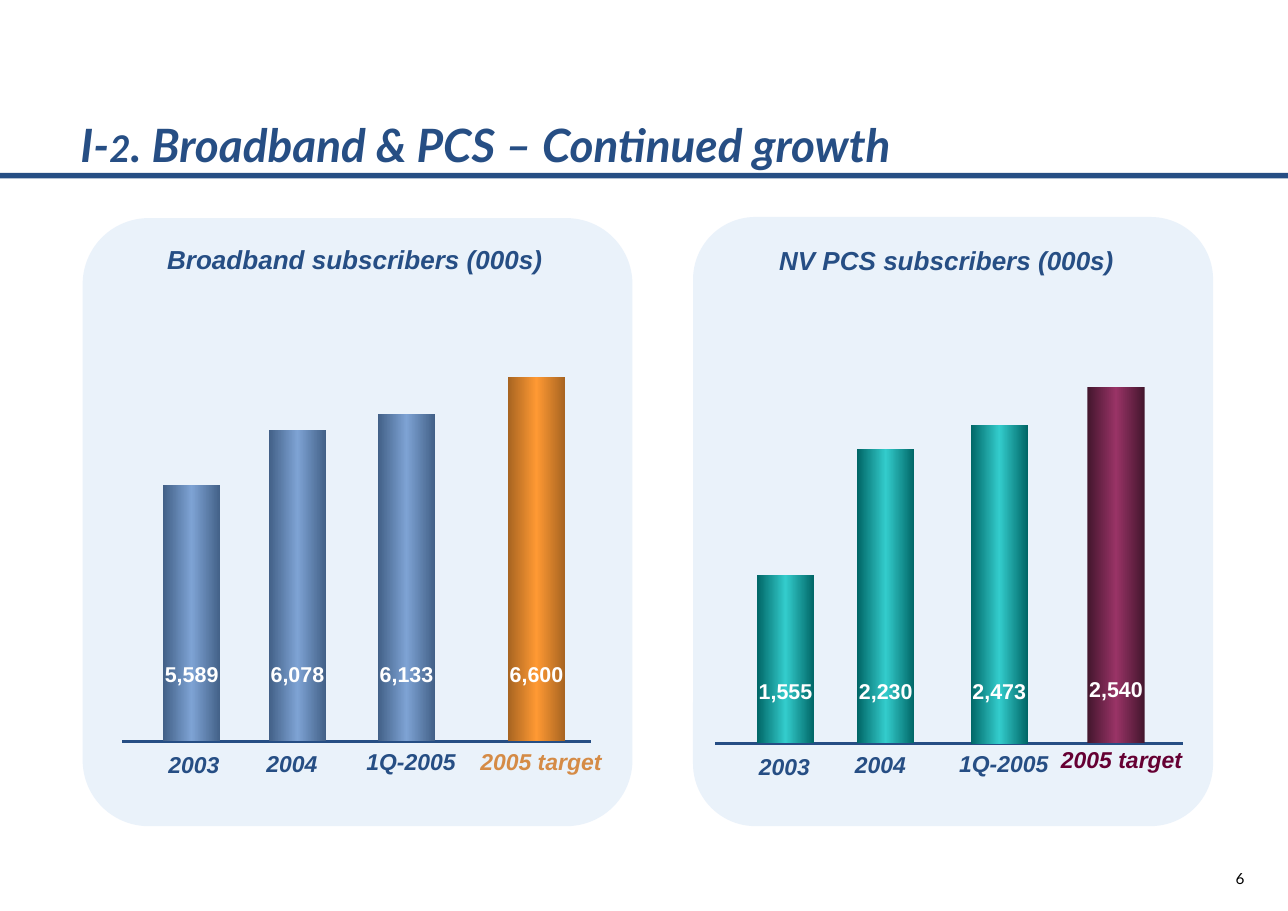
from copy import deepcopy
from dataclasses import dataclass

from lxml.etree import SubElement
from pptx import Presentation
from pptx.dml.color import RGBColor as RGB
from pptx.enum.shapes import MSO_CONNECTOR as CONNECTOR, MSO_SHAPE as SHAPE
from pptx.enum.text import MSO_ANCHOR as ANCHOR, PP_ALIGN as ALIGN
from pptx.oxml.ns import qn
from pptx.util import Inches, Pt

CELL = Inches(0.1)
COLUMNS, ROWS = 116.9, 82.7
BAR_WIDTH = 5.2


@dataclass(frozen=True)
class Theme:
    heading_font: str = "Lato"
    body_font: str = "Arial"
    navy: str = "264E84"
    panel: str = "AECCEE"
    white: str = "FFFFFF"
    black: str = "000000"
    orange_label: str = "D58B46"
    plum_label: str = "660033"
    blue_bar: tuple = ("426087", "7EA3D4")
    orange_bar: tuple = ("A76421", "FF9933")
    teal_bar: tuple = ("006666", "33CCCC")
    plum_bar: tuple = ("43162D", "993366")
    title_size: int = 30
    title_digit_size: int = 24
    panel_title_size: int = 17
    label_size: int = 15
    value_size: int = 14
    page_size: int = 10


THEME = Theme()


@dataclass(frozen=True)
class Bar:
    period: str
    value: str
    left: float
    top: float
    label_center: float
    label_top: float
    value_top: float
    shades: tuple
    label_color: str = THEME.navy


@dataclass(frozen=True)
class Panel:
    title: str
    area: tuple
    title_area: tuple
    axis_left: float
    axis_row: float
    bars: tuple


BROADBAND = Panel(
    "Broadband subscribers (000s)", (7.5, 19.8, 49.9, 55.2), (8.8, 21.9, 46.8, 4.3), 11.1, 67.3,
    (
        Bar("2003", "5,589", 14.8, 44, 17.6, 68.5, 60.4, THEME.blue_bar),
        Bar("2004", "6,078", 24.4, 39, 26.5, 68.4, 60.4, THEME.blue_bar),
        Bar("1Q-2005", "6,133", 34.3, 37.6, 37.3, 68.2, 60.4, THEME.blue_bar),
        Bar("2005 target", "6,600", 46.1, 34.2, 49.1, 68.2, 60.4,
            THEME.orange_bar, THEME.orange_label),
    ),
)
PCS = Panel(
    "NV PCS subscribers (000s)", (62.9, 19.7, 47.2, 55.3), (62.5, 22, 46.8, 4.3), 64.9, 67.5,
    (
        Bar("2003", "1,555", 68.7, 52.2, 71.2, 68.7, 61.9, THEME.teal_bar),
        Bar("2004", "2,230", 77.8, 40.8, 79.9, 68.5, 61.9, THEME.teal_bar),
        Bar("1Q-2005", "2,473", 88.1, 38.6, 91.1, 68.4, 61.9, THEME.teal_bar),
        Bar("2005 target", "2,540", 98.7, 35.1, 101.8, 68.1, 61.7,
            THEME.plum_bar, THEME.plum_label),
    ),
)


def cells(*counts):
    return [round(count * CELL) for count in counts]


def add_block(slide, kind, area):
    block = slide.shapes.add_shape(kind, *cells(*area))
    block.shadow.inherit = False
    block.line.fill.background()
    return block


def fill_solid(block, color):
    block.fill.solid()
    block.fill.fore_color.rgb = RGB.from_string(color)


def fill_cylinder(block, shades):
    edge, middle = shades
    block.fill.gradient()
    block.fill.gradient_angle = 0
    stop_list = block._element.spPr.find(".//" + qn("a:gsLst"))
    stop_list.append(deepcopy(stop_list[0]))
    stops = zip(block.fill.gradient_stops, (0, 0.5, 1), (edge, middle, edge))
    for stop, position, color in stops:
        stop.position = position
        stop.color.rgb = RGB.from_string(color)


def add_text(slide, area, runs, size, color, font=THEME.body_font, bold=True, italic=True,
             align=ALIGN.CENTER, anchor=ANCHOR.TOP, spacing=0.85, wrap=False):
    box = slide.shapes.add_textbox(*cells(*area))
    frame = box.text_frame
    frame.margin_left = frame.margin_right = frame.margin_top = frame.margin_bottom = 0
    frame.word_wrap = wrap
    frame.vertical_anchor = anchor
    paragraph = frame.paragraphs[0]
    paragraph.alignment = align
    paragraph.line_spacing = spacing
    paragraph.font.name = font
    paragraph.font.size = Pt(size)
    paragraph.font.bold = bold
    paragraph.font.italic = italic
    paragraph.font.color.rgb = RGB.from_string(color)
    for text, run_size in runs:
        run = paragraph.add_run()
        run.text = text
        if run_size != size:
            run.font.size = Pt(run_size)


def add_label(slide, center, top, text, size, color, italic):
    width = 11
    add_text(slide, (center - width / 2, top, width, 2.1), [(text, size)], size, color,
             italic=italic)


def add_axis(slide, left, row):
    start, end, level = cells(left, left + 42.5, row)
    axis = slide.shapes.add_connector(CONNECTOR.STRAIGHT, start, level, end, level)
    axis.line.color.rgb = RGB.from_string(THEME.navy)
    axis.line.width = Pt(2.25)
    SubElement(axis._element.spPr, qn("a:effectLst"))


def add_bar(slide, bar, axis_row):
    column = add_block(slide, SHAPE.RECTANGLE, (bar.left, bar.top, BAR_WIDTH, axis_row - bar.top))
    fill_cylinder(column, bar.shades)
    add_label(slide, bar.label_center, bar.label_top, bar.period,
              THEME.label_size, bar.label_color, True)
    add_label(slide, bar.left + BAR_WIDTH / 2, bar.value_top, bar.value,
              THEME.value_size, THEME.white, False)


def add_panel(slide, panel):
    background = add_block(slide, SHAPE.ROUNDED_RECTANGLE, panel.area)
    background.adjustments[0] = 0.12
    fill_solid(background, THEME.panel)
    tint = background._element.spPr.find(".//" + qn("a:srgbClr"))
    SubElement(tint, qn("a:alpha"), val="25000")
    left, top, width, height = panel.title_area
    add_text(slide, (left, top + 0.5, width, height - 1),
             [(panel.title, THEME.panel_title_size)], THEME.panel_title_size, THEME.navy,
             spacing=0.9, wrap=True)
    add_axis(slide, panel.axis_left, panel.axis_row)
    for bar in panel.bars:
        add_bar(slide, bar, panel.axis_row)


def add_heading(slide):
    rule = add_block(slide, SHAPE.RECTANGLE, (0, 15.7, COLUMNS, 0.5))
    fill_solid(rule, THEME.navy)
    runs = [
        ("I-", THEME.title_size),
        ("2", THEME.title_digit_size),
        (". Broadband & PCS – Continued growth", THEME.title_size),
    ]
    add_text(slide, (7.3, 11.2, 101.9, 4.4), runs, THEME.title_size, THEME.navy,
             font=THEME.heading_font, align=ALIGN.LEFT, anchor=ANCHOR.BOTTOM,
             spacing=Pt(31.9), wrap=True)


def add_page_number(slide, number):
    add_text(slide, (108.7, 78.8, 7.7, 2.1), [(number, THEME.page_size)], THEME.page_size,
             THEME.black, font=THEME.heading_font, bold=False, italic=False, spacing=1.05)


def main():
    deck = Presentation()
    deck.slide_width, deck.slide_height = cells(COLUMNS, ROWS)
    slide = deck.slides.add_slide(deck.slide_layouts[6])
    add_heading(slide)
    for panel in (BROADBAND, PCS):
        add_panel(slide, panel)
    add_page_number(slide, "6")
    deck.save("out.pptx")


if __name__ == "__main__":
    main()
